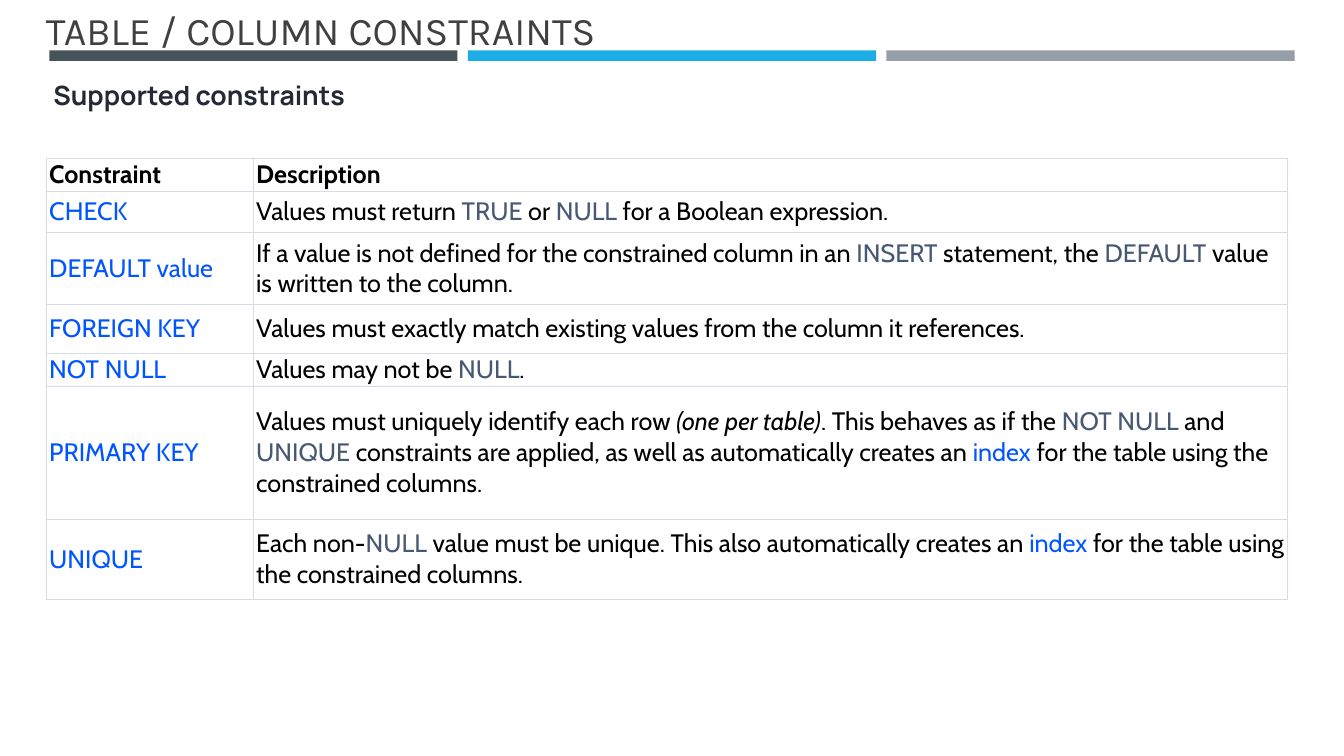
import pptx
import pptx.util
import pptx.dml.color
import pptx.enum.shapes
import pptx.enum.text
import pptx.oxml
import pptx.oxml.ns

Pt = pptx.util.Pt
RGBColor = pptx.dml.color.RGBColor
ANCHOR = pptx.enum.text.MSO_ANCHOR

WHITE = RGBColor(0xFF, 0xFF, 0xFF)
BLACK = RGBColor(0x00, 0x00, 0x00)
GREY = RGBColor(0x40, 0x40, 0x40)
NAVY = RGBColor(0x24, 0x2A, 0x35)
SLATE = RGBColor(0x47, 0x58, 0x72)
BLUE = RGBColor(0x00, 0x55, 0xFF)
RULE = RGBColor(0xD6, 0xDB, 0xE7)
BARS = [RGBColor(0x46, 0x53, 0x59), RGBColor(0x1C, 0xAD, 0xE4), RGBColor(0x96, 0x9F, 0xA7)]


def write(par, text, font="Cabin", size=18, color=BLACK, bold=False, italic=False):
    run = par.add_run()
    run.text = text
    run.font.name = font
    run.font.size = Pt(size)
    run.font.color.rgb = color
    run.font.bold = bold
    run.font.italic = italic


def edge(cell):
    props = cell._tc.get_or_add_tcPr()
    for spot, side in enumerate(("lnL", "lnR", "lnT", "lnB")):
        line = pptx.oxml.parse_xml(
            f'<a:{side} {pptx.oxml.ns.nsdecls("a")} w="{Pt(0.38)}"><a:solidFill>'
            f'<a:srgbClr val="{RULE}"/></a:solidFill></a:{side}>')
        props.insert(spot, line)


deck = pptx.Presentation()
deck.slide_width = Pt(960)
deck.slide_height = Pt(540)
slide = deck.slides.add_slide(deck.slide_layouts[5])

title = slide.shapes.title
title.left, title.top, title.width, title.height = Pt(25.5), Pt(-14.4), Pt(868), Pt(56)
frame = title.text_frame
frame.auto_size = pptx.enum.text.MSO_AUTO_SIZE.NONE
frame.vertical_anchor = ANCHOR.BOTTOM
frame.paragraphs[0].alignment = pptx.enum.text.PP_ALIGN.LEFT
write(frame.paragraphs[0], "TABLE / COLUMN CONSTRAINTS", font="Karla", size=28, color=GREY)

for spot, color in enumerate(BARS):
    bar = slide.shapes.add_shape(
        pptx.enum.shapes.MSO_SHAPE.RECTANGLE, Pt(35.2 + spot * 299), Pt(36), Pt(291.6), Pt(7.5))
    bar.shadow.inherit = False
    bar.fill.solid()
    bar.fill.fore_color.rgb = color
    bar.line.fill.background()

rows = [
    (23.5, [("Constraint", {"bold": True})], [("Description", {"bold": True})]),
    (29.5, "CHECK", [
        ("Values must return ", {}), ("TRUE", {"color": SLATE}), (" or ", {}),
        ("NULL", {"color": SLATE}), (" for a Boolean expression.", {})]),
    (51.4, "DEFAULT value", [
        ("If a value is not defined for the constrained column in an ", {}),
        ("INSERT", {"color": SLATE}), (" statement, the ", {}),
        ("DEFAULT", {"color": SLATE}), (" value is written to the column.", {})]),
    (34.8, "FOREIGN KEY", [
        ("Values must exactly match existing values from the column it references.", {})]),
    (23.5, "NOT NULL", [
        ("Values may not be ", {}), ("NULL", {"color": SLATE}), (".", {})]),
    (95, "PRIMARY KEY", [
        ("Values must uniquely identify each row ", {}), ("(one per table)", {"italic": True}),
        (". This behaves as if the ", {}), ("NOT NULL", {"color": SLATE}), (" and ", {}),
        ("UNIQUE", {"color": SLATE}),
        (" constraints are applied, as well as automatically creates an ", {}),
        ("index", {"color": BLUE}), (" for the table using the constrained columns.", {})]),
    (57, "UNIQUE", [
        ("Each non-", {}), ("NULL", {"color": SLATE}),
        (" value must be unique. This also automatically creates an ", {}),
        ("index", {"color": BLUE}), (" for the table using the constrained columns.", {})]),
]

tall = sum(row[0] for row in rows)
table = slide.shapes.add_table(len(rows), 2, Pt(33.2), Pt(113), Pt(886.6), Pt(tall)).table
table.columns[0].width = Pt(147.8)
table.columns[1].width = Pt(738.8)
for spot, (high, name, about) in enumerate(rows):
    table.rows[spot].height = Pt(high)
    if isinstance(name, str):
        name = [(name, {"color": BLUE})]
    for col, parts in enumerate((name, about)):
        cell = table.cell(spot, col)
        cell.fill.solid()
        cell.fill.fore_color.rgb = WHITE
        cell.vertical_anchor = ANCHOR.MIDDLE
        cell.margin_left = cell.margin_right = Pt(2)
        cell.margin_top = cell.margin_bottom = Pt(0.8)
        edge(cell)
        for text, style in parts:
            write(cell.text_frame.paragraphs[0], text, **style)

head = slide.shapes.add_textbox(Pt(33.2), Pt(46), Pt(399.6), Pt(62)).text_frame
head.word_wrap = True
head.vertical_anchor = ANCHOR.TOP
head.margin_left, head.margin_top = Pt(5), Pt(10)
head.margin_right, head.margin_bottom = Pt(7.2), Pt(6.5)
write(head.paragraphs[0], "Supported constraints", font="Manrope", size=19, color=NAVY, bold=True)

deck.save("out.pptx")
